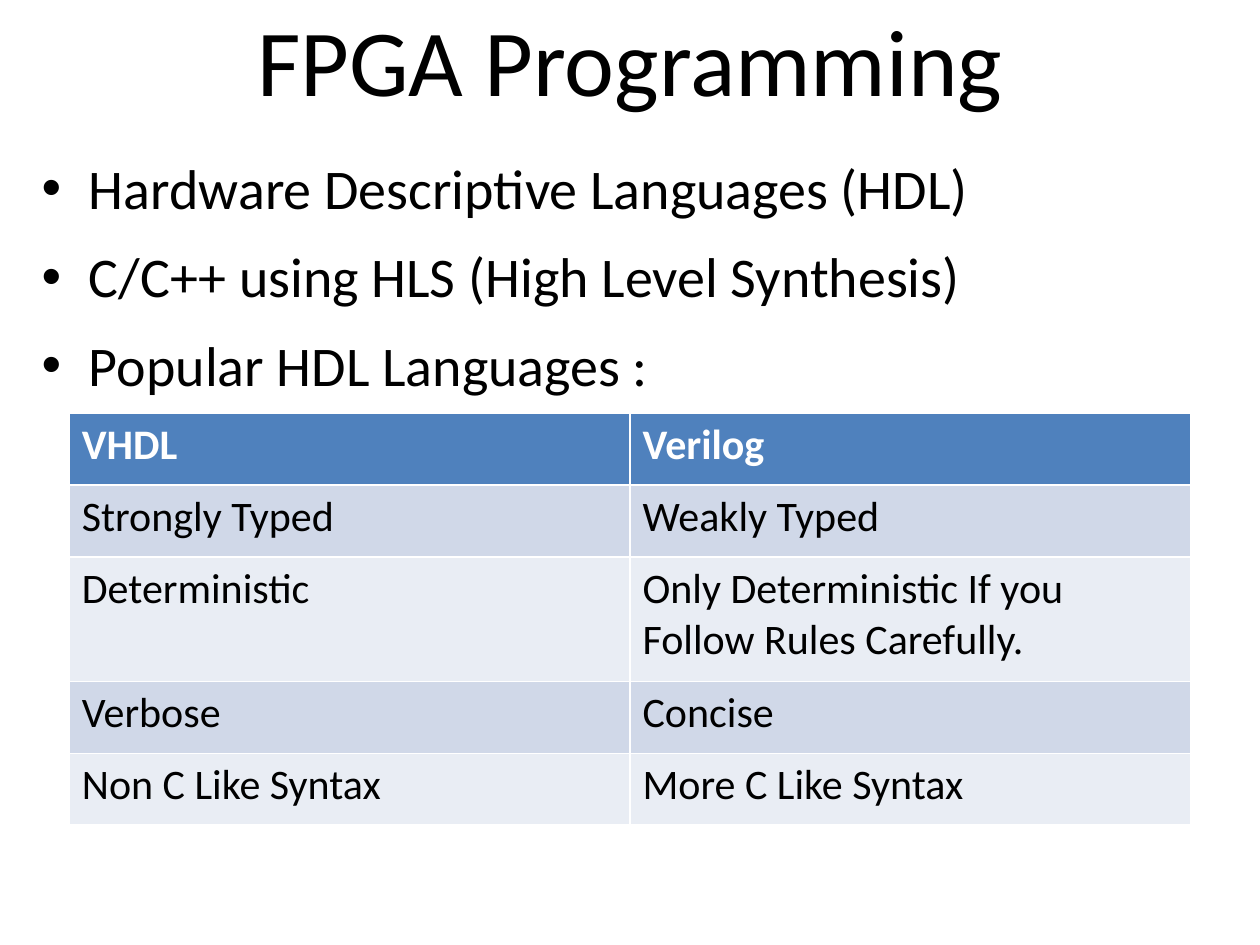
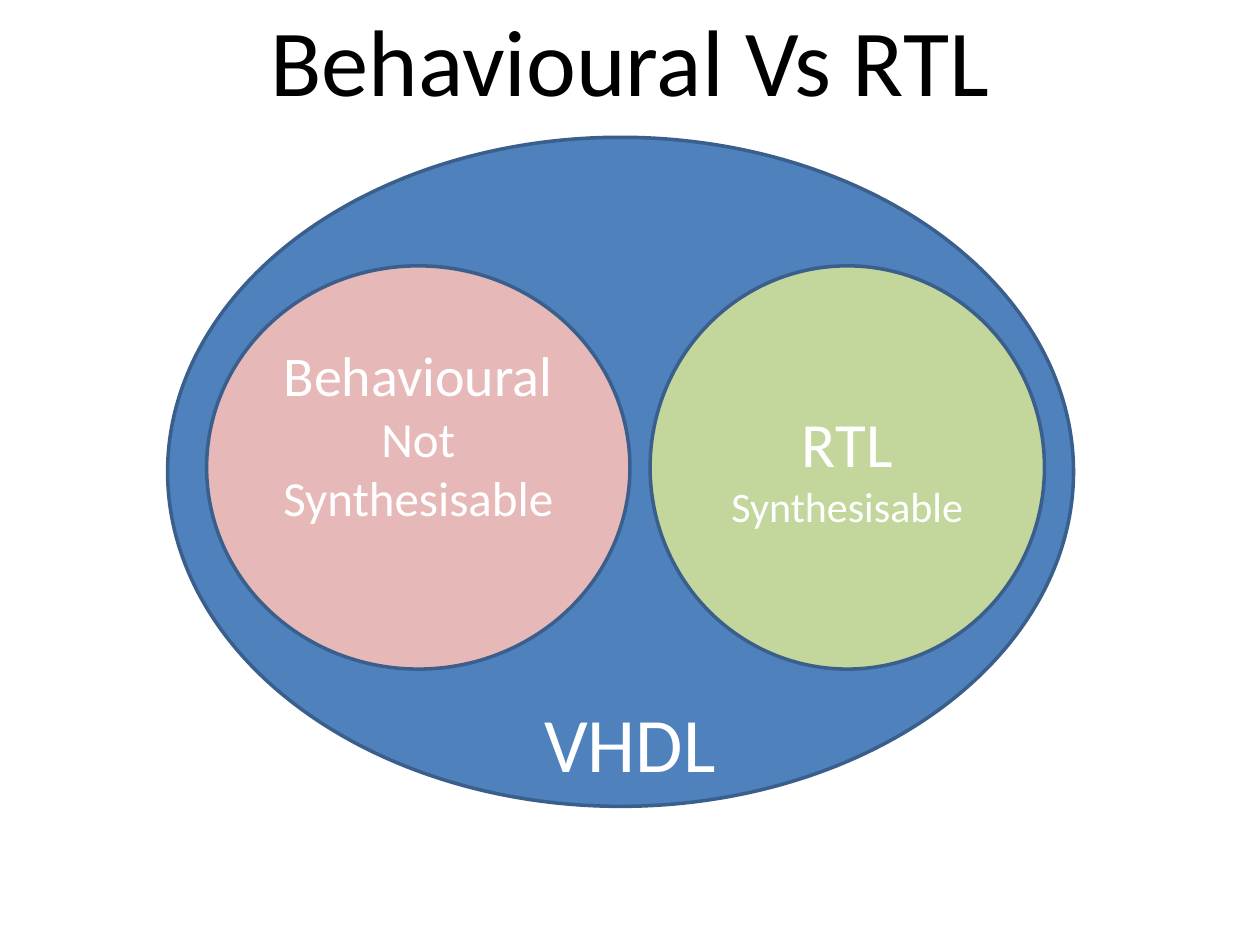
from dataclasses import dataclass
from pptx import Presentation
from pptx.dml.color import RGBColor as Color
from pptx.enum.shapes import MSO_SHAPE as Preset
from pptx.enum.text import MSO_ANCHOR as Anchor, MSO_AUTO_SIZE as AutoSize, PP_ALIGN as Align
from pptx.util import Inches, Pt


@dataclass(frozen=True)
class Theme:
    font: str = "Calibri"
    ink: str = "000000"
    white: str = "FFFFFF"
    blue: str = "4F81BD"
    outline: str = "3A5F8C"
    green: str = "C3D69B"
    pink: str = "E6B9B8"
    bands: tuple = ("E9EDF4", "D0D8E8")
    title: int = 54
    label: int = 44
    heading: int = 36
    body: int = 32
    note: int = 28
    small: int = 24


theme = Theme()
deck = Presentation()
deck.slide_width, deck.slide_height = Inches(10), Inches(7.5)

# Grid: 100 columns by 100 rows on every slide
COLUMN, ROW = deck.slide_width / 100, deck.slide_height / 100
TITLE_AREA = (0, -2.13, 100, 16.67)


def place(shape, left, top, width, height):
    shape.left, shape.top = round(left * COLUMN), round(top * ROW)
    shape.width, shape.height = round(width * COLUMN), round(height * ROW)


def write(frame, lines, color, bold=False, **para_format):
    """Fill a text frame with (text, size) lines."""
    frame.word_wrap = True
    for number, (text, size) in enumerate(lines):
        para = frame.paragraphs[0] if number == 0 else frame.add_paragraph()
        for name, value in para_format.items():
            setattr(para, name, value)
        span = para.add_run()
        span.text = text
        for name, value in {"name": theme.font, "size": Pt(size), "bold": bold}.items():
            setattr(span.font, name, value)
        span.font.color.rgb = Color.from_string(color)


# Both pages share one title style
pages = []
for layout, title in ((1, "FPGA Programming"), (5, "Behavioural Vs RTL")):
    page = deck.slides.add_slide(deck.slide_layouts[layout])
    heading = page.shapes.title
    place(heading, *TITLE_AREA)
    heading.text_frame.auto_size = AutoSize.NONE
    heading.text_frame.vertical_anchor = Anchor.MIDDLE
    write(heading.text_frame, [(title, theme.title)], theme.ink, alignment=Align.CENTER)
    pages.append(page)
programming, comparison = pages

# Bullet list
bullets = programming.placeholders[1]
place(bullets, 2.3, 15.6, 96.1, 76.8)
bullets.text_frame.auto_size = AutoSize.NONE
points = ("Hardware Descriptive Languages (HDL)",
          "C/C++ using HLS (High Level Synthesis)",
          "Popular HDL Languages :")
write(bullets.text_frame, [(point, theme.body) for point in points], theme.ink,
      space_before=Pt(12))

# Language table: the third row holds two lines
languages = (("VHDL", "Verilog"),
             ("Strongly Typed", "Weakly Typed"),
             ("Deterministic", "Only Deterministic If you Follow Rules Carefully."),
             ("Verbose", "Concise"),
             ("Non C Like Syntax", "More C Like Syntax"))
row_heights = (7.6, 7.6, 13.2, 7.6, 7.6)
table_frame = programming.shapes.add_table(len(languages), 2, 0, 0, 0, 0)
place(table_frame, 5.5, 43.73, 89, sum(row_heights))
table = table_frame.table
for column in table.columns:
    column.width = round(44.5 * COLUMN)
for index, (texts, height) in enumerate(zip(languages, row_heights)):
    table.rows[index].height = round(height * ROW)
    is_header = index == 0
    fill = theme.blue if is_header else theme.bands[index % 2]
    for cell, text in zip(table.rows[index].cells, texts):
        cell.fill.solid()
        cell.fill.fore_color.rgb = Color.from_string(fill)
        write(cell.text_frame, [(text, theme.small)],
              theme.white if is_header else theme.ink, bold=is_header)

# Nested sets: VHDL around RTL and Behavioural
SIDE, EDGE = Inches(0.1), Inches(0.05)
sets = (
    ((13.3, 14.53, 71.9, 70.8), theme.blue, (), SIDE, EDGE),
    ((51.6, 28.13, 31.3, 42.67), theme.green,
     (("RTL", theme.heading), ("Synthesisable", theme.small)), SIDE, EDGE),
    ((16.4, 28.13, 33.6, 42.67), theme.pink,
     (("Behavioural", theme.body), ("Not Synthesisable", theme.note)), 0, Inches(0.59)),
)
for area, fill, lines, side, bottom in sets:
    oval = comparison.shapes.add_shape(Preset.OVAL, 0, 0, 0, 0)
    place(oval, *area)
    oval.shadow.inherit = False
    oval.fill.solid()
    oval.fill.fore_color.rgb = Color.from_string(fill)
    oval.line.color.rgb = Color.from_string(theme.outline)
    oval.line.width = Pt(2)
    frame_format = {"margin_left": side, "margin_right": side, "margin_top": EDGE,
                    "margin_bottom": bottom, "vertical_anchor": Anchor.MIDDLE}
    for name, value in frame_format.items():
        setattr(oval.text_frame, name, value)
    write(oval.text_frame, lines, theme.white, alignment=Align.CENTER)

# Label of the outer set
label = comparison.shapes.add_textbox(0, 0, 0, 0)
place(label, 42.2, 72.93, 32, 11.2)
write(label.text_frame, [("VHDL", theme.label)], theme.white)

deck.save("out.pptx")
